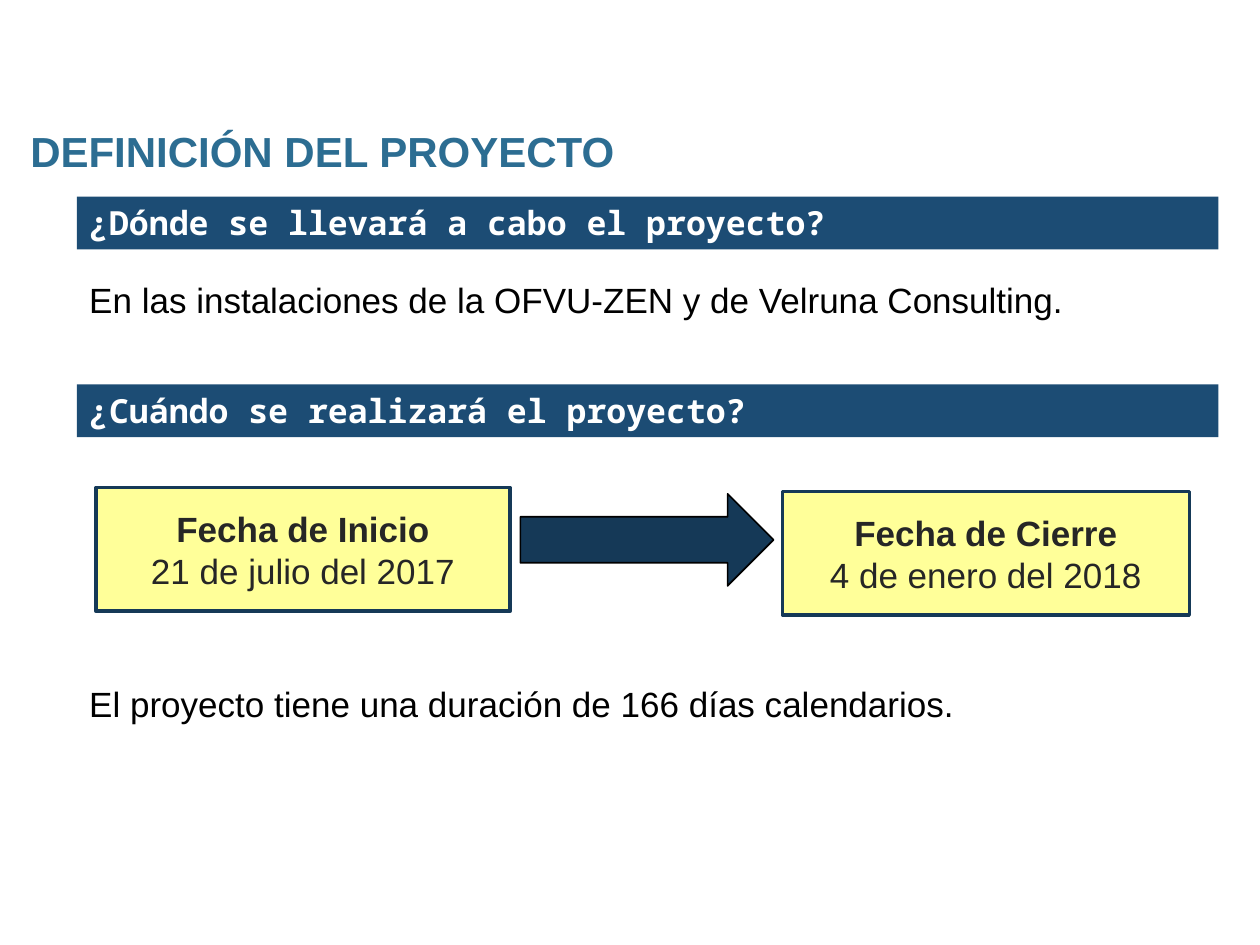
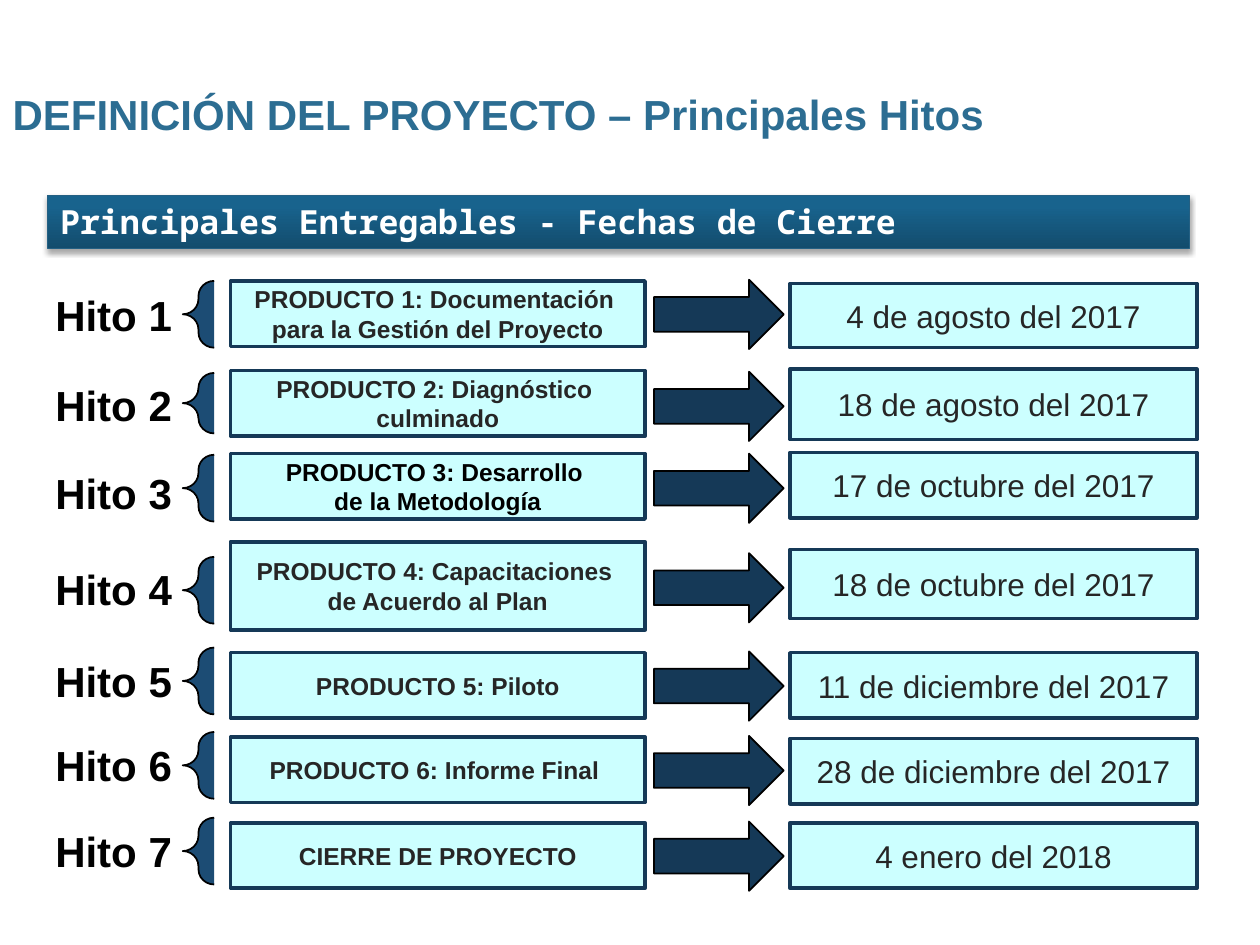
from copy import deepcopy

from lxml.etree import SubElement
from pptx import Presentation
from pptx.dml.color import RGBColor
from pptx.enum.shapes import MSO_SHAPE as SHAPE
from pptx.enum.text import MSO_ANCHOR as ANCHOR, MSO_AUTO_SIZE as AUTOSIZE, PP_ALIGN as ALIGN
from pptx.oxml.ns import qn
from pptx.util import Pt

# Lengths are px, 100 to the inch
PX = 9144
SANS, MONO = "Arial", "Noto Sans Mono"
NAVY, BAND, TITLE = "153957", "1C4C74", "2C6D92"
YELLOW, CYAN = "FFFF99", "CCFFFF"
BLACK, GREY, WHITE = "000000", "262626", "FFFFFF"

# Slide 1: where and when
DEFINITION_TITLE = "DEFINICIÓN DEL PROYECTO"
QUESTIONS = [
    ("¿Dónde se llevará a cabo el proyecto?", 156),
    ("¿Cuándo se realizará el proyecto?", 305),
]
ANSWERS = [
    ("En las instalaciones de la OFVU-ZEN y de Velruna Consulting.", 216),
    ("El proyecto tiene una duración de 166 días calendarios.", 537),
]
DATES = [
    ("Fecha de Inicio", "21 de julio del 2017", (76, 387, 329, 98)),
    ("Fecha de Cierre", "4 de enero del 2018", (621, 390, 323, 98)),
]

# Slide 2: milestones
MILESTONES_TITLE = "DEFINICIÓN DEL PROYECTO – Principales Hitos"
MILESTONES_BAND = "Principales Entregables - Fechas de Cierre"
BAND_STOPS = [(0, "134C6D"), (0.8, "18638D"), (1, "166490")]
# product lines, closing date, then (top, height) of product and date,
# then tops of arrow, label and brace
MILESTONES = [
    (["PRODUCTO 1: Documentación ", "para la Gestión del Proyecto"],
     "4 de agosto del 2017", (223, 52), (225, 51), 222, 225, 223),
    (["PRODUCTO 2: Diagnóstico ", "culminado"],
     "18 de agosto del 2017", (294, 52), (293, 56), 295, 296, 296),
    (["PRODUCTO 3: Desarrollo ", "de la Metodología"],
     "17 de octubre del 2017", (360, 52), (359, 52), 360, 366, 361),
    (["PRODUCTO 4: Capacitaciones ", "de Acuerdo al Plan"],
     "18 de octubre del 2017", (430, 70), (436, 55), 439, 442, 442),
    (["PRODUCTO 5: Piloto"],
     "11 de diciembre del 2017", (518, 52), (518, 52), 517, 515, 514),
    (["PRODUCTO 6: Informe Final "],
     "28 de diciembre del 2017", (585, 52), (586, 52), 584, 582, 581),
    (["CIERRE DE PROYECTO"],
     "4 enero del 2018", (653, 52), (653, 52), 652, 650, 649),
]
BLACK_PRODUCT = 3
SHORT_BRACE = 2
# left and width of each column
LABEL_COL, BRACE_COL = (34, 121), (145, 25)
PRODUCT_COL, ARROW_COL, DATE_COL = (183, 329), (519, 103), (627, 323)


def rgb(hex_colour):
    return RGBColor.from_string(hex_colour)


def scaled(box):
    return [length * PX for length in box]


def write(part, lines, size, colour, bold=False, font=SANS, align=ALIGN.LEFT,
          anchor=ANCHOR.TOP, wrap=True, grow=False):
    """Write one paragraph per line; a line is text or (text, bold)."""
    frame = part.text_frame
    frame.word_wrap = wrap
    frame.vertical_anchor = anchor
    frame.auto_size = AUTOSIZE.SHAPE_TO_FIT_TEXT if grow else AUTOSIZE.NONE
    for index, line in enumerate(lines):
        text, line_bold = line if isinstance(line, tuple) else (line, bold)
        paragraph = frame.add_paragraph() if index else frame.paragraphs[0]
        paragraph.alignment = align
        run = paragraph.add_run()
        run.text = text
        run.font.name, run.font.size = font, Pt(size)
        run.font.bold = line_bold
        run.font.color.rgb = rgb(colour)
    return frame


def add_text(slide, box, text, size, colour, **style):
    return write(slide.shapes.add_textbox(*scaled(box)), [text], size, colour, **style)


def add_filled(slide, kind, box, fill, line=None, width=1):
    part = slide.shapes.add_shape(kind, *scaled(box))
    part.shadow.inherit = False
    part.fill.solid()
    part.fill.fore_color.rgb = rgb(fill)
    if line:
        part.line.color.rgb = rgb(line)
        part.line.width = Pt(width)
    else:
        part.line.fill.background()
    return part


def add_title(slide, text, left, top, width):
    frame = add_text(slide, (left, top, width, 66), text, 24, TITLE, bold=True)
    frame.margin_left = frame.margin_right = 0
    frame.paragraphs[0].line_spacing = 0.95


def add_band(slide, text, left, top):
    band = add_filled(slide, SHAPE.RECTANGLE, (left, top, 906, 42), BAND)
    write(band, [text], 19, WHITE, bold=True, font=MONO, grow=True)
    return band


def add_card(slide, box, fill, lines, size, colour=GREY, bold=False):
    card = add_filled(slide, SHAPE.RECTANGLE, box, fill, NAVY, 2)
    write(card, lines, size, colour, bold=bold, align=ALIGN.CENTER,
          anchor=ANCHOR.MIDDLE, wrap=False)


def add_arrow(slide, box):
    add_filled(slide, SHAPE.RIGHT_ARROW, box, NAVY, BLACK)


def shade_band(band):
    """Give the band its vertical gradient, thin outline and soft shadow."""
    band.fill.gradient()
    band.fill.gradient_angle = 90
    properties = band._element.spPr
    stops = properties.find(".//" + qn("a:gsLst"))
    stops.append(deepcopy(stops[-1]))
    for stop, (position, colour) in zip(band.fill.gradient_stops, BAND_STOPS):
        stop.position = position
        stop.color.rgb = rgb(colour)
    band.line.color.rgb = rgb("246083")
    band.line.width = Pt(0.75)
    shadow = SubElement(properties.find(qn("a:effectLst")), qn("a:outerShdw"),
                        blurRad=str(Pt(3.1)), dist=str(Pt(1.8)),
                        dir="5400000", rotWithShape="0")
    tint = SubElement(shadow, qn("a:srgbClr"), val=BLACK)
    SubElement(tint, qn("a:alpha"), val="35000")


def build_definition(slide):
    for question, top in QUESTIONS:
        add_band(slide, question, 61, top)
    for heading, date, box in DATES:
        add_card(slide, box, YELLOW, [(heading, True), (date, False)], 20)
    add_arrow(slide, (413, 392, 201, 73))
    for answer, top in ANSWERS:
        add_text(slide, (61, top, 906, 44), answer, 20, BLACK,
                 align=ALIGN.JUSTIFY, grow=True)
    add_title(slide, DEFINITION_TITLE, 24, 98, 931)


def build_milestones(slide):
    shade_band(add_band(slide, MILESTONES_BAND, 38, 155))
    add_title(slide, MILESTONES_TITLE, 10, 68, 978)

    def cell(column, top, height):
        left, width = column
        return left, top, width, height

    for number, milestone in enumerate(MILESTONES, 1):
        product, date, product_rows, date_rows, arrow_top, label_top, brace_top = milestone
        add_card(slide, cell(PRODUCT_COL, *product_rows), CYAN, product, 14,
                 BLACK if number == BLACK_PRODUCT else GREY, bold=True)
        add_card(slide, cell(DATE_COL, *date_rows), CYAN, [date], 18)
        add_arrow(slide, cell(ARROW_COL, arrow_top, 55))
        add_text(slide, cell(LABEL_COL, label_top, 51), f"Hito {number}", 24, BLACK,
                 bold=True, grow=True)
        brace_height = 48 if number == SHORT_BRACE else 53
        brace = add_filled(slide, SHAPE.LEFT_BRACE,
                           cell(BRACE_COL, brace_top, brace_height), BAND, BLACK)
        brace.adjustments[0] = 0.48


def main():
    deck = Presentation()
    deck.slide_width, deck.slide_height = scaled((1000, 750))
    blank = deck.slide_layouts[6]
    for build in (build_definition, build_milestones):
        build(deck.slides.add_slide(blank))
    deck.save("out.pptx")


if __name__ == "__main__":
    main()
